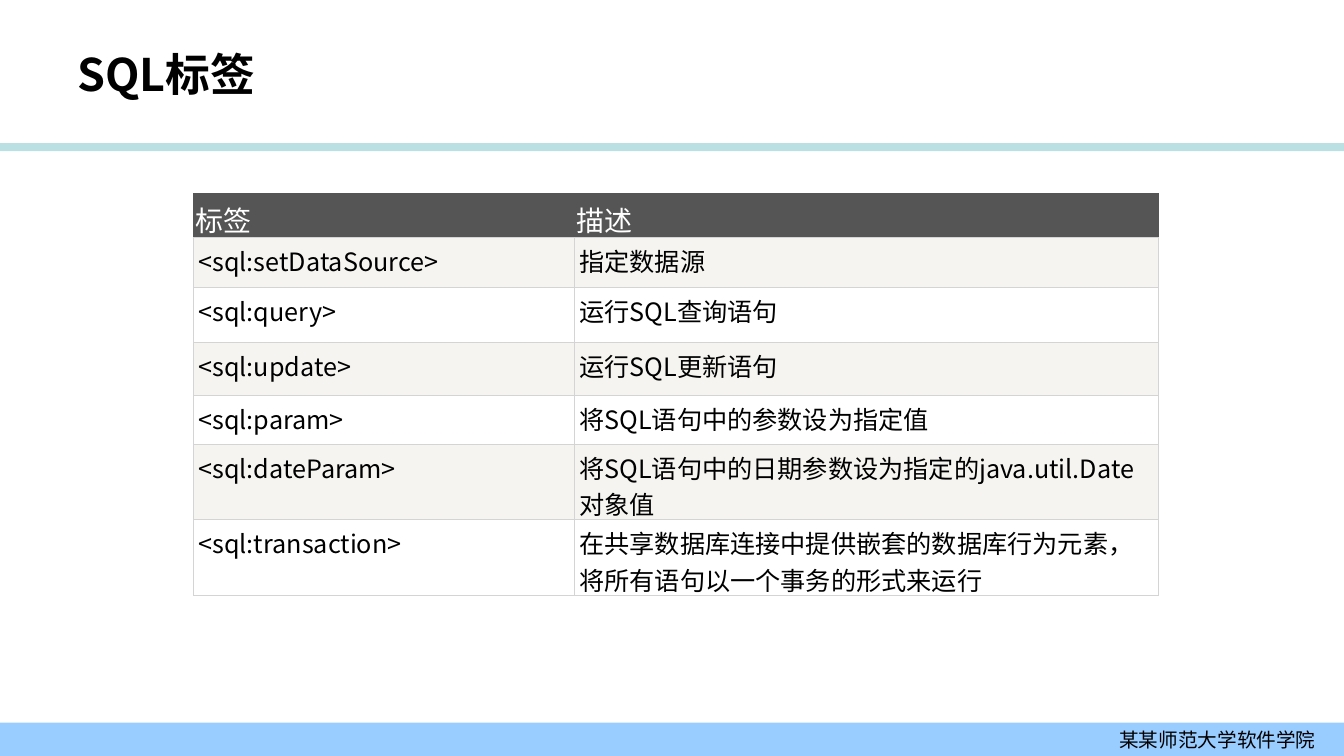
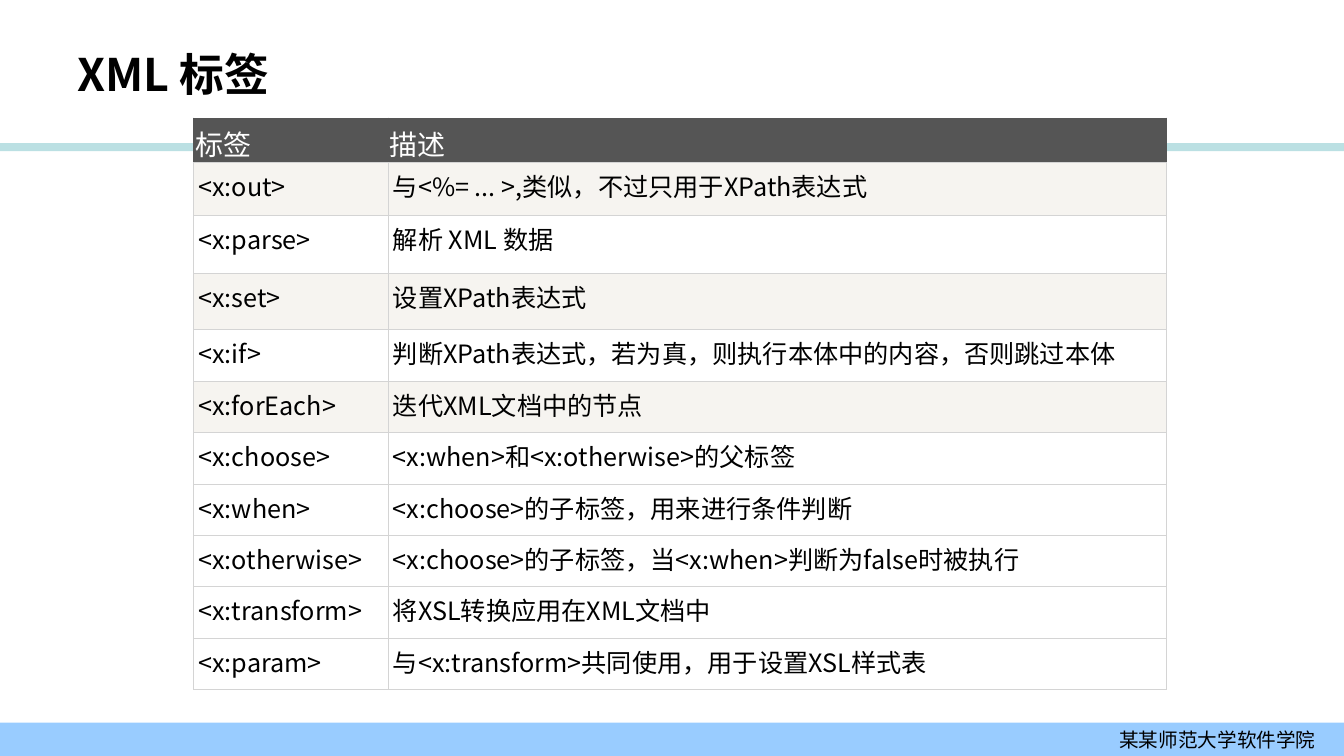
from lxml import etree
from pptx import Presentation
from pptx.dml.color import RGBColor
from pptx.enum import shapes, text
from pptx.oxml import ns
from pptx.util import Inches, Pt

FONT = "Noto Sans CJK SC"
BLACK = RGBColor(0x00, 0x00, 0x00)
WHITE = RGBColor(0xFF, 0xFF, 0xFF)
RULE = RGBColor(0xBB, 0xE0, 0xE3)
FOOTER = RGBColor(0x99, 0xCC, 0xFF)
HEADER = RGBColor(0x55, 0x55, 0x55)
SHADE = RGBColor(0xF6, 0xF4, 0xF0)
GRID = RGBColor(0xD4, 0xD4, 0xD4)

WIDTH, HEIGHT = 13.34, 7.5
TABLE_LEFT = 1.92
LAST_SHADED_ROW = 5
FOOTER_TEXT = "某某师范大学软件学院"

SQL_TAGS = [
    ("标签", "描述"),
    ("<sql:setDataSource>", "指定数据源"),
    ("<sql:query>", "运行SQL查询语句"),
    ("<sql:update>", "运行SQL更新语句"),
    ("<sql:param>", "将SQL语句中的参数设为指定值"),
    ("<sql:dateParam>", "将SQL语句中的日期参数设为指定的java.util.Date 对象值"),
    ("<sql:transaction>",
     "在共享数据库连接中提供嵌套的数据库行为元素，将所有语句以一个事务的形式来运行"),
]
XML_TAGS = [
    ("标签", "描述"),
    ("<x:out>", "与<%= ... >,类似，不过只用于XPath表达式"),
    ("<x:parse>", "解析 XML 数据"),
    ("<x:set>", "设置XPath表达式"),
    ("<x:if>", "判断XPath表达式，若为真，则执行本体中的内容，否则跳过本体"),
    ("<x:forEach>", "迭代XML文档中的节点"),
    ("<x:choose>", "<x:when>和<x:otherwise>的父标签"),
    ("<x:when>", "<x:choose>的子标签，用来进行条件判断"),
    ("<x:otherwise>", "<x:choose>的子标签，当<x:when>判断为false时被执行"),
    ("<x:transform>", "将XSL转换应用在XML文档中"),
    ("<x:param>", "与<x:transform>共同使用，用于设置XSL样式表"),
]


def write(tf, content, size=18, color=BLACK, bold=False, align=text.PP_ALIGN.LEFT):
    p = tf.paragraphs[0]
    p.alignment = align
    r = p.add_run()
    r.text = content
    r.font.name = FONT
    r.font.size = Pt(size)
    r.font.bold = bold
    r.font.color.rgb = color
    ea = etree.SubElement(r.font._element, ns.qn("a:ea"))
    ea.set("typeface", FONT)


def add_band(slide, top, height, color):
    sp = slide.shapes.add_shape(shapes.MSO_SHAPE.RECTANGLE, 0, Inches(top),
                                Inches(WIDTH), Inches(height))
    sp.shadow.inherit = False
    sp.fill.solid()
    sp.fill.fore_color.rgb = color
    sp.line.fill.background()
    return sp


def add_title(slide, title):
    sp = slide.shapes.add_textbox(Inches(0.67), Inches(0.3), Inches(10.67), Inches(0.87))
    tf = sp.text_frame
    tf.word_wrap = True
    tf.vertical_anchor = text.MSO_ANCHOR.MIDDLE
    write(tf, title, size=32, bold=True)


def add_footer(slide):
    tf = add_band(slide, 7.17, 0.33, FOOTER).text_frame
    tf.margin_right = Inches(0.28)
    tf.vertical_anchor = text.MSO_ANCHOR.MIDDLE
    write(tf, FOOTER_TEXT, size=14, align=text.PP_ALIGN.RIGHT)


def add_borders(cell, side_color, bottom_color):
    """Draw the four cell edges; call before the cell is filled."""
    tc_pr = cell._tc.get_or_add_tcPr()
    for side in "LRTB":
        ln = etree.SubElement(tc_pr, ns.qn(f"a:ln{side}"), w=str(Pt(0.34)))
        fill = etree.SubElement(ln, ns.qn("a:solidFill"))
        color = bottom_color if side == "B" else side_color
        etree.SubElement(fill, ns.qn("a:srgbClr"), val=str(color))


def format_cell(cell, content, row):
    is_header = row == 0
    cell.margin_left = cell.margin_right = Inches(0.02 if is_header else 0.05)
    cell.margin_top = cell.margin_bottom = Inches(0.05)
    add_borders(cell, HEADER if is_header else GRID, GRID)
    cell.fill.solid()
    if is_header:
        cell.fill.fore_color.rgb = HEADER
        write(cell.text_frame, content, size=20, color=WHITE)
    else:
        shaded = row % 2 == 1 and row <= LAST_SHADED_ROW
        cell.fill.fore_color.rgb = SHADE if shaded else WHITE
        write(cell.text_frame, content)


def add_tag_table(slide, rows, top, widths, heights):
    frame = slide.shapes.add_table(len(rows), len(widths), Inches(TABLE_LEFT), Inches(top),
                                   Inches(sum(widths)), Inches(sum(heights)))
    table = frame.table
    table.first_row = table.horz_banding = False
    for column, width in zip(table.columns, widths):
        column.width = Inches(width)
    for i, (values, height) in enumerate(zip(rows, heights)):
        table.rows[i].height = Inches(height)
        for j, value in enumerate(values):
            format_cell(table.cell(i, j), value, i)


def add_tag_slide(prs, title, rows, top, widths, heights):
    slide = prs.slides.add_slide(prs.slide_layouts[6])
    add_band(slide, 1.42, 0.08, RULE)
    add_footer(slide)
    add_title(slide, title)
    add_tag_table(slide, rows, top, widths, heights)


def main():
    prs = Presentation()
    prs.slide_width, prs.slide_height = Inches(WIDTH), Inches(HEIGHT)
    add_tag_slide(prs, "SQL标签", SQL_TAGS, 1.92, [3.78, 5.8],
                  [0.41, 0.5, 0.54, 0.53, 0.48, 0.75, 0.75])
    add_tag_slide(prs, "XML 标签", XML_TAGS, 1.17, [1.93, 7.73],
                  [0.44, 0.53, 0.57, 0.56] + [0.51] * 7)
    prs.save("out.pptx")


if __name__ == "__main__":
    main()
